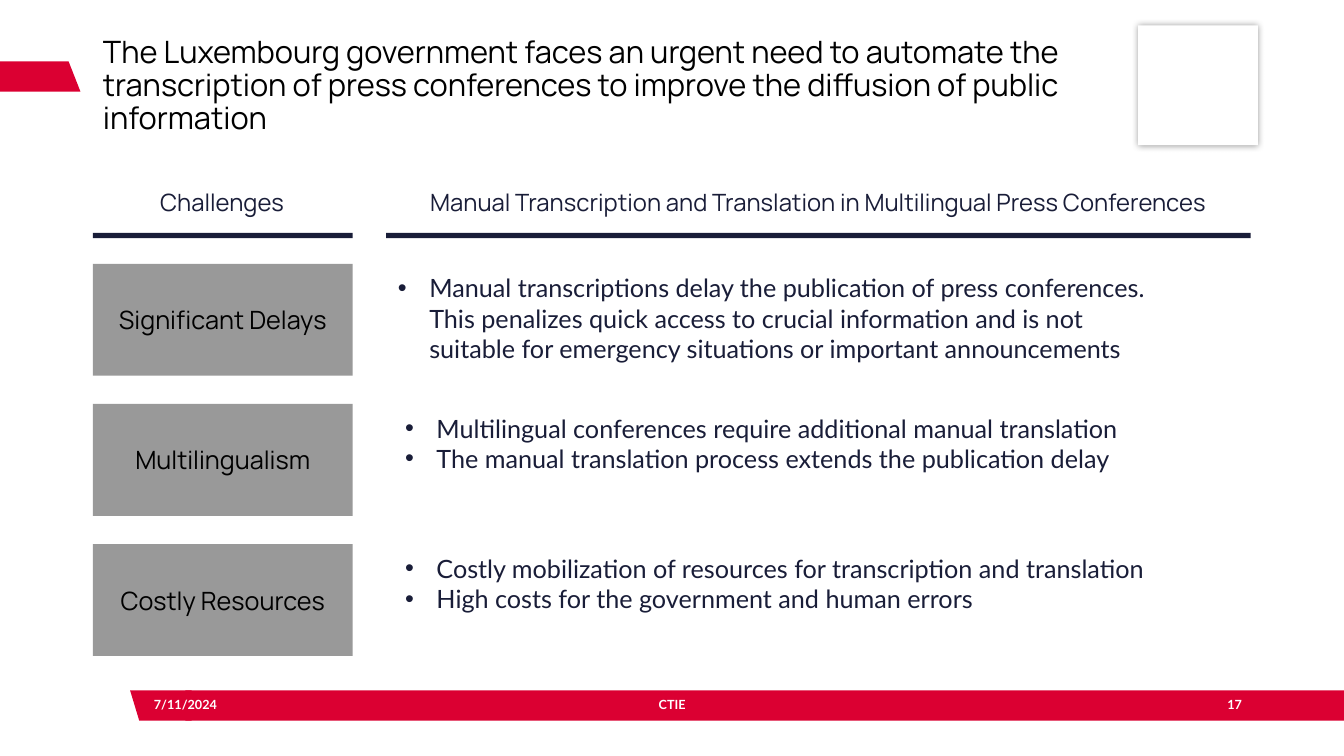
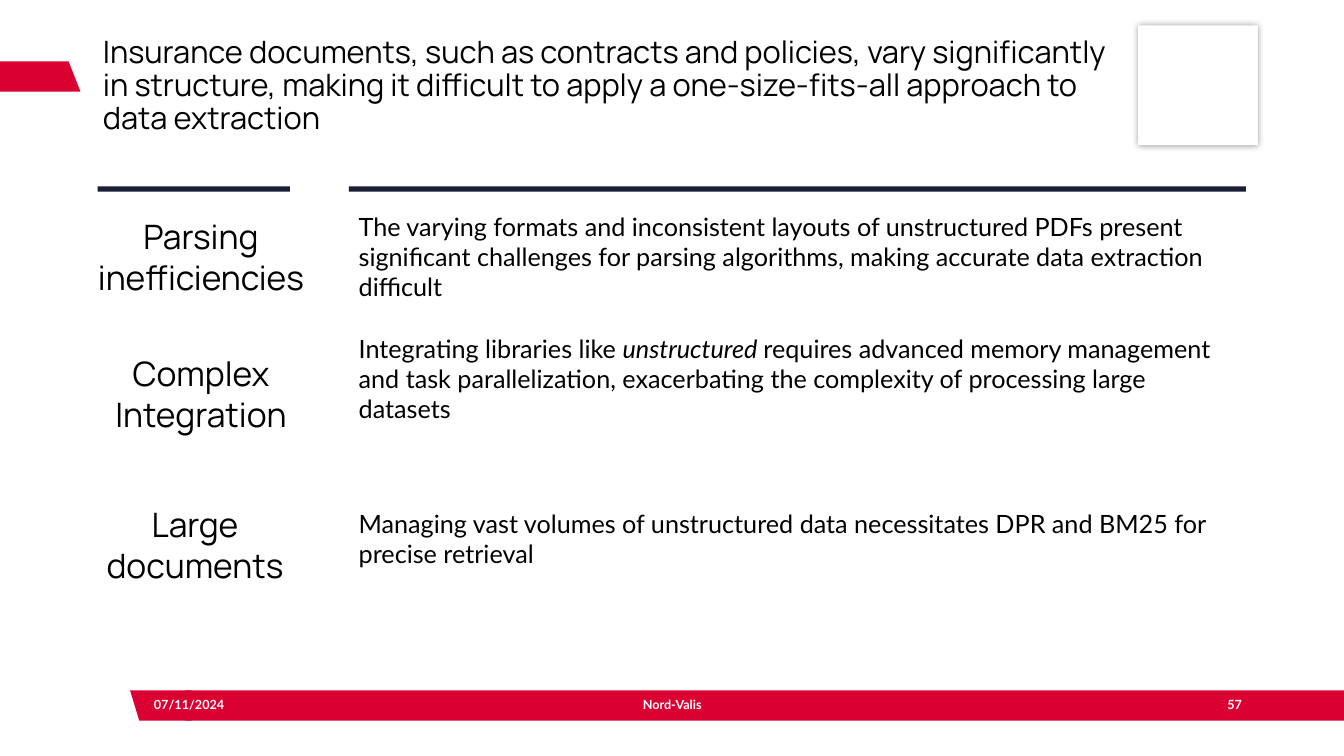
"""Build two slides on challenges in transcription and in document parsing."""
from lxml.etree import SubElement
from pptx import Presentation
from pptx.dml.color import RGBColor
from pptx.enum.shapes import MSO_SHAPE as Shape
from pptx.enum.text import MSO_ANCHOR as Anchor, MSO_AUTO_SIZE as AutoSize, PP_ALIGN as Align
from pptx.oxml.ns import qn
from pptx.util import Cm, Pt

RED, NAVY, GREY, BLACK, WHITE = "DB0032", "191D38", "999999", "000000", "FFFFFF"
HEAD_FONT, BODY_FONT = "Manrope", "Lato"
SLIDE_W, SLIDE_H = 33.87, 19.05
BAND_TOP, BAND_H = 17.4, 0.76
RULE_H = 0.13
BULLET_INDENT = 0.79

TRANSCRIPTION = {
    "title": "The Luxembourg government faces an urgent need to automate the transcription "
             "of press conferences to improve the diffusion of public information",
    "footer": ("7/11/2024", "CTIE", "17"),
    "rules": (5.87, (2.34, 6.55), (9.73, 21.79)),
    "headers": [
        ("Challenges", 1.27, 8.66),
        ("Manual Transcription and Translation in Multilingual Press Conferences", 7.87, 25.5),
    ],
    "rows": [
        ("Significant Delays", 9.78, [
            "Manual transcriptions delay the publication of press conferences. This penalizes "
            "quick access to crucial information and is not suitable for emergency situations "
            "or important announcements"]),
        ("Multilingualism", 9.96, [
            "Multilingual conferences require additional manual translation",
            "The manual translation process extends the publication delay"]),
        ("Costly Resources", 9.96, [
            "Costly mobilization of resources for transcription and translation",
            "High costs for the government and human errors"]),
    ],
}

PARSING = {
    "title": "Insurance documents, such as contracts and policies, vary significantly in "
             "structure, making it difficult to apply a one-size-fits-all approach to data extraction",
    "footer": ("07/11/2024", "Nord-Valis", "57"),
    "rules": (4.7, (2.46, 4.85), (8.79, 22.61)),
    "rows": [
        ("Parsing inefficiencies", (1.75, 5.31), (5.18, 2.57), [
            "The varying formats and inconsistent layouts of unstructured PDFs present significant "
            "challenges for parsing algorithms, making accurate data extraction difficult"]),
        ("Complex Integration", (1.75, 8.76), (8.64, 1.8), [
            (("Integrating libraries like ", False), ("unstructured ", True),
             ("requires advanced memory management and task parallelization, exacerbating the "
              "complexity of processing large datasets", False))]),
        ("Large documents", (1.6, 12.57), (12.67, 1.8), [
            "Managing vast volumes of unstructured data necessitates DPR and BM25 for precise retrieval"]),
    ],
}


def rgb(value):
    """Turn a hex string into a colour."""
    return RGBColor.from_string(value)


def write(frame, paragraphs, size=18, font=BODY_FONT, color=BLACK, bold=False,
          align=Align.LEFT, anchor=Anchor.MIDDLE, spacing=None, bullet=False):
    """Fill a text frame; a paragraph is a string or a tuple of (text, italic) runs."""
    frame.word_wrap = True
    frame.auto_size = AutoSize.NONE
    frame.vertical_anchor = anchor
    for index, content in enumerate(paragraphs):
        paragraph = frame.add_paragraph() if index else frame.paragraphs[0]
        if bullet:
            properties = paragraph._p.get_or_add_pPr()
            properties.set("marL", str(Cm(BULLET_INDENT)))
            properties.set("indent", str(-Cm(BULLET_INDENT)))
            SubElement(properties, qn("a:buFont"), typeface="Arial")
            SubElement(properties, qn("a:buChar"), char="•")
        paragraph.alignment = align
        if spacing:
            paragraph.line_spacing = spacing
        for words, italic in ((content, False),) if isinstance(content, str) else content:
            run = paragraph.add_run()
            run.text = words
            run.font.name, run.font.size = font, Pt(size)
            run.font.bold, run.font.italic = bold, italic
            run.font.color.rgb = rgb(color)


def add_text(slide, paragraphs, left, top, width, height, **style):
    """Add a text box."""
    box = slide.shapes.add_textbox(Cm(left), Cm(top), Cm(width), Cm(height))
    write(box.text_frame, paragraphs, **style)


def paint(shape, color):
    """Give a shape a flat fill without line or shadow."""
    shape.shadow.inherit = False
    shape.fill.solid()
    shape.fill.fore_color.rgb = rgb(color)
    shape.line.fill.background()
    return shape


def add_block(slide, color, left, top, width, height):
    """Add a plain rectangle."""
    return paint(slide.shapes.add_shape(
        Shape.RECTANGLE, Cm(left), Cm(top), Cm(width), Cm(height)), color)


def add_outline(slide, color, points):
    """Add a closed polygon."""
    corners = [(Cm(x), Cm(y)) for x, y in points]
    builder = slide.shapes.build_freeform(*corners[0])
    builder.add_line_segments(corners[1:], close=True)
    paint(builder.convert_to_shape(), color)


def add_glow(shape):
    """Put a soft black shadow around a shape."""
    effects = shape._element.spPr.find(qn("a:effectLst"))
    shadow = SubElement(effects, qn("a:outerShdw"), blurRad=str(Pt(5)), dist="0",
                        algn="ctr", rotWithShape="0")
    tint = SubElement(shadow, qn("a:srgbClr"), val=BLACK)
    SubElement(tint, qn("a:alpha"), val="40000")


def start_slide(deck, content):
    """Add a slide with the shared title, tab, band, footer and column rules."""
    slide = deck.slides.add_slide(deck.slide_layouts[5])
    add_outline(slide, RED, [(0, 1.55), (1.73, 1.55), (2.03, 2.31), (0, 2.31)])
    bottom = BAND_TOP + BAND_H
    add_outline(slide, RED, [(3.28, BAND_TOP), (4.83, BAND_TOP), (4.83, bottom), (3.51, bottom)])
    add_block(slide, RED, 4.67, BAND_TOP, SLIDE_W - 4.67, BAND_H)
    add_glow(add_block(slide, WHITE, 28.68, 0.64, 3.02, 3.02))

    title = slide.shapes.title
    title.left, title.top, title.width, title.height = Cm(2.34), Cm(1.47), Cm(26.06), Cm(1.42)
    write(title.text_frame, [content["title"]], size=22, font=HEAD_FONT, spacing=0.9)

    places = [(3.63, 3.68, Align.LEFT), (10.59, 12.7, Align.CENTER), (29.54, 2.01, Align.RIGHT)]
    for words, (left, width, align) in zip(content["footer"], places):
        add_text(slide, [words], left, 17.25, width, 1.02,
                 size=9, color=WHITE, bold=True, align=align)

    rule_top, *columns = content["rules"]
    for left, width in columns:
        add_block(slide, NAVY, left, rule_top, width, RULE_H)
    return slide


def build_transcription(deck):
    """Build the slide with grey challenge boxes and bullets."""
    slide = start_slide(deck, TRANSCRIPTION)
    for words, left, width in TRANSCRIPTION["headers"]:
        add_text(slide, [words], left, 4.62, width, 1.02, size=17, font=HEAD_FONT,
                 color=NAVY, align=Align.CENTER, spacing=0.9)
    box_left, box_width = TRANSCRIPTION["rules"][1]
    for index, (challenge, left, points) in enumerate(TRANSCRIPTION["rows"]):
        top = 6.65 + index * 3.53
        box = add_block(slide, GREY, box_left, top, box_width, 2.82)
        write(box.text_frame, [challenge], font=HEAD_FONT, align=Align.CENTER)
        add_text(slide, points, left, top + 0.1, 19.79, 2.57,
                 color=NAVY, anchor=Anchor.TOP, bullet=True)


def build_parsing(deck):
    """Build the slide with large labels and explanations."""
    slide = start_slide(deck, PARSING)
    text_left, text_width = PARSING["rules"][2]
    for label, (left, label_top), (top, height), explanation in PARSING["rows"]:
        add_text(slide, [label], left, label_top, 6.63, 2.31,
                 size=24, font=HEAD_FONT, align=Align.CENTER)
        add_text(slide, explanation, text_left, top, text_width, height)


def main():
    """Build and save the deck."""
    deck = Presentation()
    deck.slide_width, deck.slide_height = Cm(SLIDE_W), Cm(SLIDE_H)
    build_transcription(deck)
    build_parsing(deck)
    deck.save("out.pptx")


if __name__ == "__main__":
    main()
